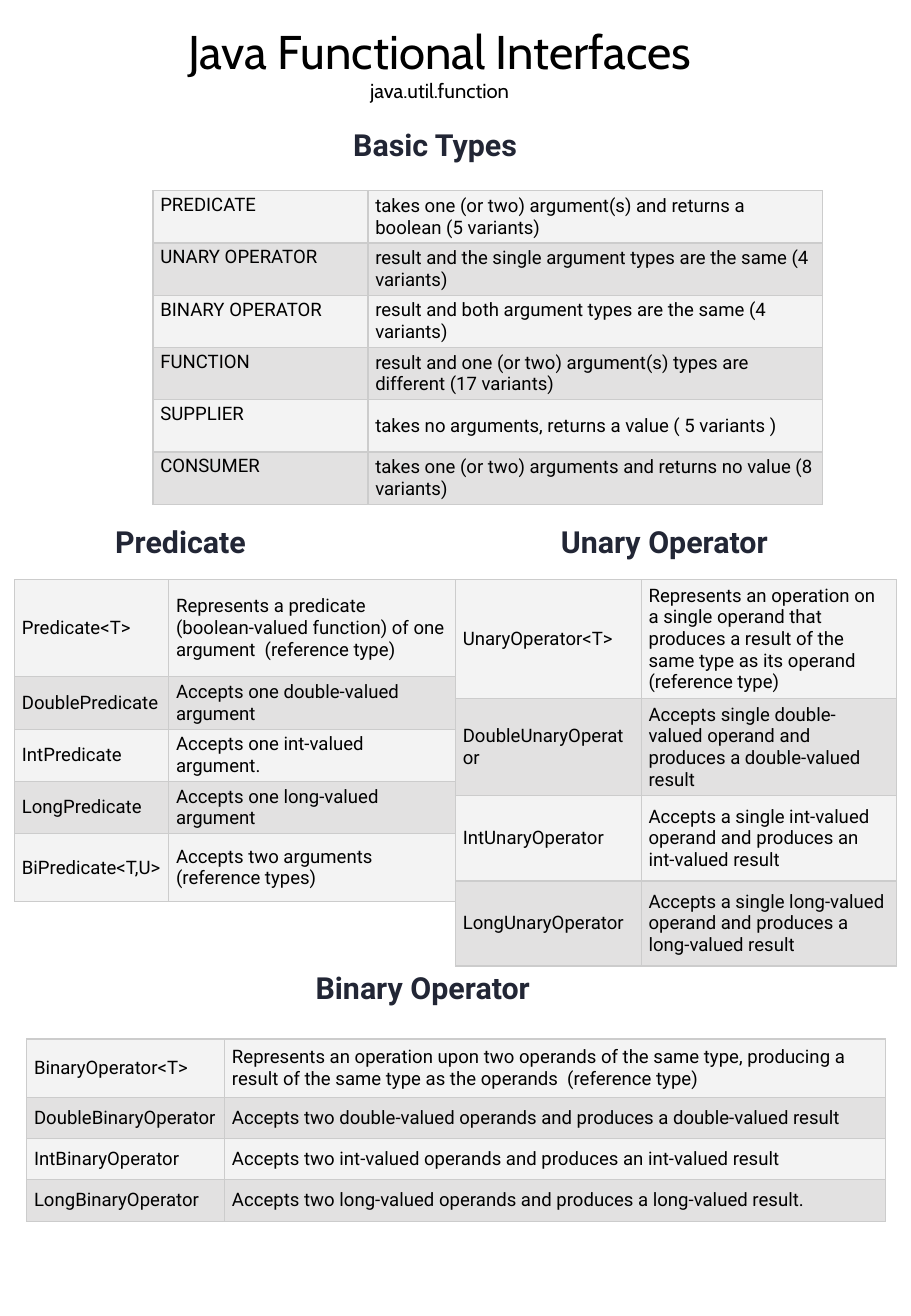
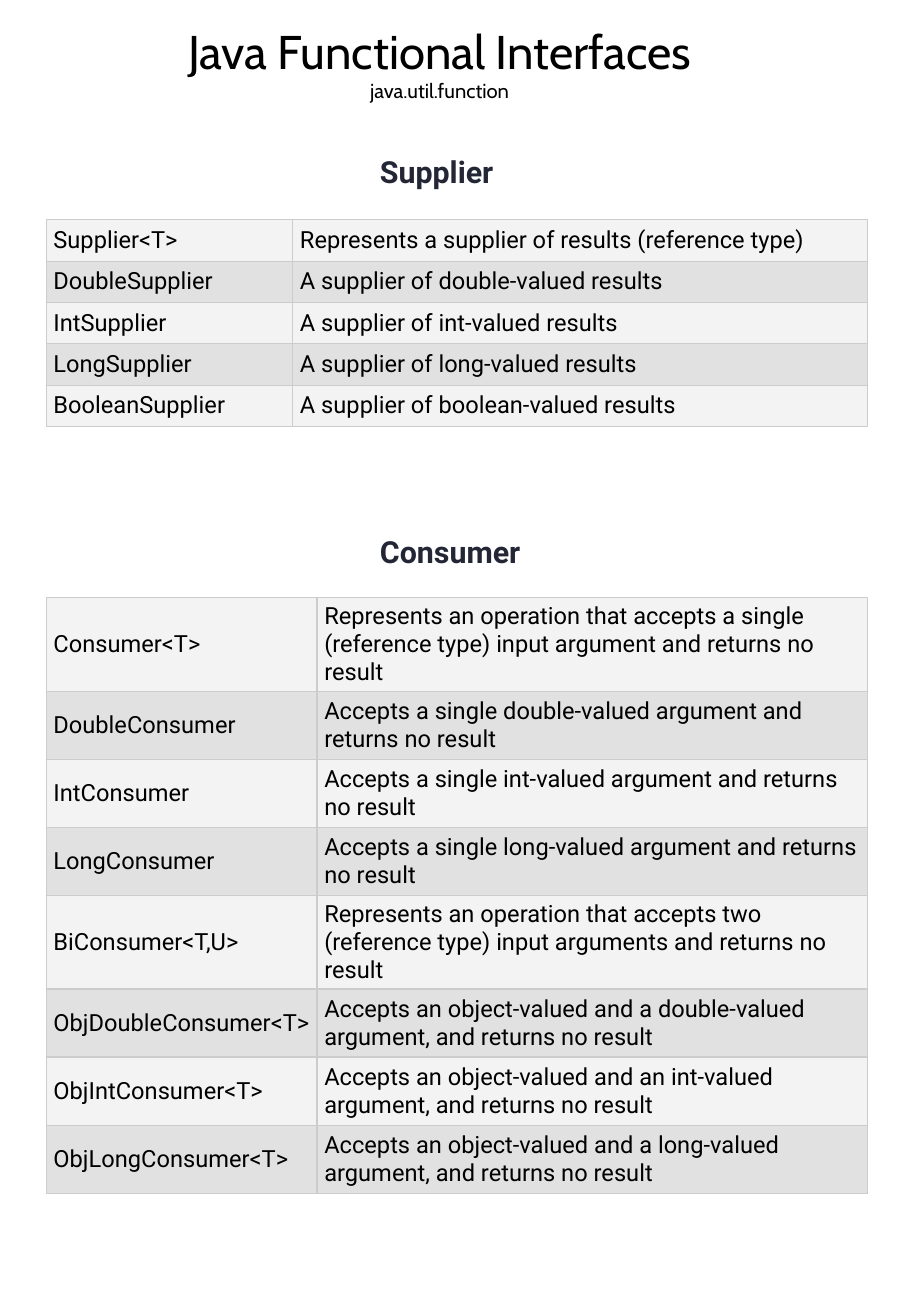
from dataclasses import dataclass

import lxml.etree
import pptx
import pptx.dml.color
import pptx.enum.text
import pptx.oxml.ns
import pptx.slide
import pptx.table
import pptx.text.text
import pptx.util

Inches = pptx.util.Inches
RGBColor = pptx.dml.color.RGBColor
Align = pptx.enum.text.PP_ALIGN
Anchor = pptx.enum.text.MSO_ANCHOR

# Shared look
BLACK = RGBColor(0x00, 0x00, 0x00)
HEADING_INK = RGBColor(0x22, 0x26, 0x35)
BORDER = RGBColor(0xCC, 0xCC, 0xCC)
BANDS = (RGBColor(0xF3, 0xF3, 0xF3), RGBColor(0xE2, 0xE1, 0xE1))
TITLE_FONT, BODY_FONT = "Cabin", "Roboto"
TITLE_ONLY = 5
ONE_LINE, TWO_LINES = 0.34, 0.43


@dataclass(frozen=True)
class Section:
    """A heading with the two-column table below it; lengths in inches."""
    heading: str
    heading_at: tuple[float, float]
    table_at: tuple[float, float]
    columns: tuple[float, float]
    heights: tuple[float, ...]
    entries: tuple[tuple[str, str], ...]
    size: float = 11
    name_anchor: Anchor = Anchor.MIDDLE


FIRST_PAGE = (
    Section(
        "Basic Types", (2.81, 0.99), (1.26, 1.57), (1.77, 3.74), (TWO_LINES,) * 6,
        (
            ("PREDICATE", "takes one (or two) argument(s) and returns a boolean (5 variants)"),
            ("UNARY OPERATOR", "result and the single argument types are the same (4 variants)"),
            ("BINARY OPERATOR", "result and both argument types are the same (4 variants)"),
            ("FUNCTION", "result and one (or two) argument(s) types are different (17 variants)"),
            ("SUPPLIER", "takes no arguments, returns a value ( 5 variants )"),
            ("CONSUMER", "takes one (or two) arguments and returns no value (8 variants)"),
        ),
        name_anchor=Anchor.TOP,
    ),
    Section(
        "Predicate", (0.85, 4.26), (0.12, 4.77), (1.27, 2.36),
        (0.8, TWO_LINES, TWO_LINES, TWO_LINES, 0.56),
        (
            ("Predicate<T>",
             "Represents a predicate (boolean-valued function) of one argument  (reference type)"),
            ("DoublePredicate", "Accepts one double-valued argument"),
            ("IntPredicate", "Accepts one int-valued argument."),
            ("LongPredicate", "Accepts one long-valued argument"),
            ("BiPredicate<T,U>", "Accepts two arguments  (reference types)"),
        ),
    ),
    Section(
        "Unary Operator", (4.52, 4.26), (3.75, 4.77), (1.53, 2.1), (0.98, 0.8, 0.7, 0.7),
        (
            ("UnaryOperator<T>",
             "Represents an operation on a single operand that produces a result "
             "of the same type as its operand  (reference type)"),
            ("DoubleUnaryOperator",
             "Accepts single double-valued operand and produces a double-valued result"),
            ("IntUnaryOperator",
             "Accepts a single int-valued operand and produces an int-valued result"),
            ("LongUnaryOperator",
             "Accepts a single long-valued operand and produces a long-valued result"),
        ),
    ),
    Section(
        "Binary Operator", (2.5, 7.93), (0.22, 8.55), (1.63, 5.44), (0.48,) + (ONE_LINE,) * 3,
        (
            ("BinaryOperator<T>",
             "Represents an operation upon two operands of the same type, producing a result "
             "of the same type as the operands  (reference type)"),
            ("DoubleBinaryOperator",
             "Accepts two double-valued operands and produces a double-valued result"),
            ("IntBinaryOperator",
             "Accepts two int-valued operands and produces an int-valued result"),
            ("LongBinaryOperator",
             "Accepts two long-valued operands and produces a long-valued result."),
        ),
    ),
)

SECOND_PAGE = (
    Section(
        "Supplier", (3.03, 1.21), (0.38, 1.81), (2.03, 4.73), (ONE_LINE,) * 5,
        (
            ("Supplier<T>", "Represents a supplier of results (reference type)"),
            ("DoubleSupplier", "A supplier of double-valued results"),
            ("IntSupplier", "A supplier of int-valued results"),
            ("LongSupplier", "A supplier of long-valued results"),
            ("BooleanSupplier", "A supplier of boolean-valued results"),
        ),
        size=14,
    ),
    Section(
        "Consumer", (3.03, 4.34), (0.38, 4.92), (2.23, 4.53),
        (0.77, 0.56, 0.56, 0.56, 0.77, 0.56, 0.56, 0.56),
        (
            ("Consumer<T>",
             "Represents an operation that accepts a single (reference type) "
             "input argument and returns no result"),
            ("DoubleConsumer", "Accepts a single double-valued argument and returns no result"),
            ("IntConsumer", "Accepts a single int-valued argument and returns no result"),
            ("LongConsumer", "Accepts a single long-valued argument and returns no result"),
            ("BiConsumer<T,U>",
             "Represents an operation that accepts two (reference type) "
             "input arguments and returns no result"),
            ("ObjDoubleConsumer<T>",
             "Accepts an object-valued and a double-valued argument, and returns no result"),
            ("ObjIntConsumer<T>",
             "Accepts an object-valued and an int-valued argument, and returns no result"),
            ("ObjLongConsumer<T>",
             "Accepts an object-valued and a long-valued argument, and returns no result"),
        ),
        size=14,
    ),
)


def write(paragraph: pptx.text.text._Paragraph, text: str, *, size: float,
          font: str = BODY_FONT, color: RGBColor = BLACK, bold: bool = False,
          align: Align = Align.LEFT) -> None:
    paragraph.alignment = align
    run = paragraph.add_run()
    run.text = text
    run.font.name, run.font.size, run.font.bold = font, pptx.util.Pt(size), bold
    run.font.color.rgb = color


def add_borders(cell: pptx.table._Cell) -> None:
    properties = cell._tc.get_or_add_tcPr()
    qn = pptx.oxml.ns.qn
    for side in ("a:lnL", "a:lnR", "a:lnT", "a:lnB"):
        edge = lxml.etree.SubElement(properties, qn(side), w=str(pptx.util.Pt(0.75)))
        fill = lxml.etree.SubElement(edge, qn("a:solidFill"))
        lxml.etree.SubElement(fill, qn("a:srgbClr"), val=str(BORDER))


def add_title(slide: pptx.slide.Slide) -> None:
    title = slide.shapes.title
    title.left, title.top = Inches(1.45), Inches(0.13)
    title.width, title.height = Inches(4.34), Inches(0.77)
    frame = title.text_frame
    frame.word_wrap = False
    frame.auto_size = pptx.enum.text.MSO_AUTO_SIZE.SHAPE_TO_FIT_TEXT
    frame.vertical_anchor = Anchor.TOP
    write(frame.paragraphs[0], "Java Functional Interfaces", size=28,
          font=TITLE_FONT, align=Align.CENTER)
    write(frame.add_paragraph(), "java.util.function", size=12,
          font=TITLE_FONT, align=Align.CENTER)


def add_section(slide: pptx.slide.Slide, section: Section) -> None:
    # Heading
    left, top = section.heading_at
    heading = slide.shapes.add_textbox(Inches(left), Inches(top), Inches(2.5), Inches(0.4))
    heading.text_frame.word_wrap = True
    write(heading.text_frame.paragraphs[0], section.heading, size=18,
          color=HEADING_INK, bold=True)

    # Table of names and meanings
    left, top = section.table_at
    table = slide.shapes.add_table(
        len(section.entries), len(section.columns), Inches(left), Inches(top),
        Inches(sum(section.columns)), Inches(sum(section.heights))).table
    table.first_row = table.horz_banding = False
    for column, width in zip(table.columns, section.columns):
        column.width = Inches(width)
    for index, (row, height, entry) in enumerate(
            zip(table.rows, section.heights, section.entries)):
        row.height = Inches(height)
        for cell, text, anchor in zip(row.cells, entry, (section.name_anchor, Anchor.MIDDLE)):
            add_borders(cell)
            cell.fill.solid()
            cell.fill.fore_color.rgb = BANDS[index % 2]
            cell.margin_left = cell.margin_right = Inches(0.06)
            cell.margin_top = cell.margin_bottom = Inches(0.03)
            cell.vertical_anchor = anchor
            write(cell.text_frame.paragraphs[0], text, size=section.size)


def main() -> None:
    deck = pptx.Presentation()
    deck.slide_width, deck.slide_height = Inches(7.5), Inches(10.83)
    for page in (FIRST_PAGE, SECOND_PAGE):
        slide = deck.slides.add_slide(deck.slide_layouts[TITLE_ONLY])
        add_title(slide)
        for section in page:
            add_section(slide, section)
    deck.save("out.pptx")


if __name__ == "__main__":
    main()
